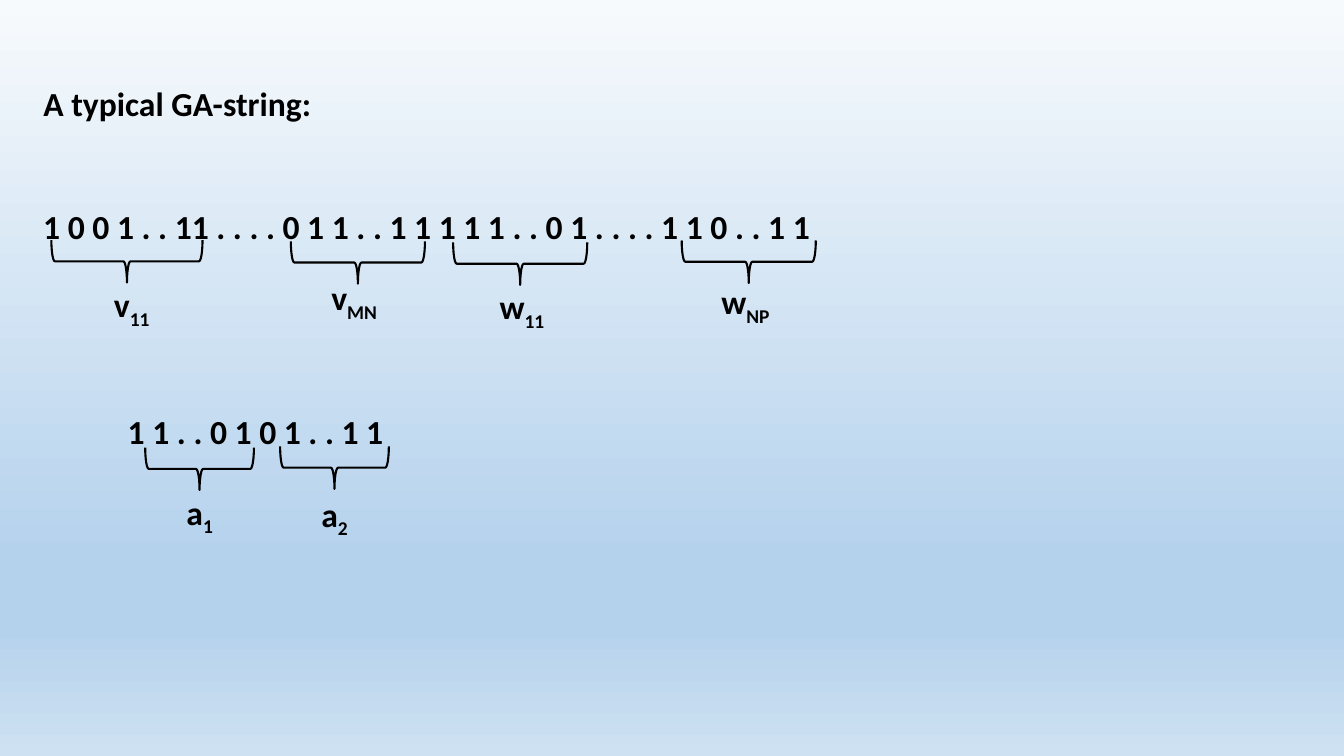
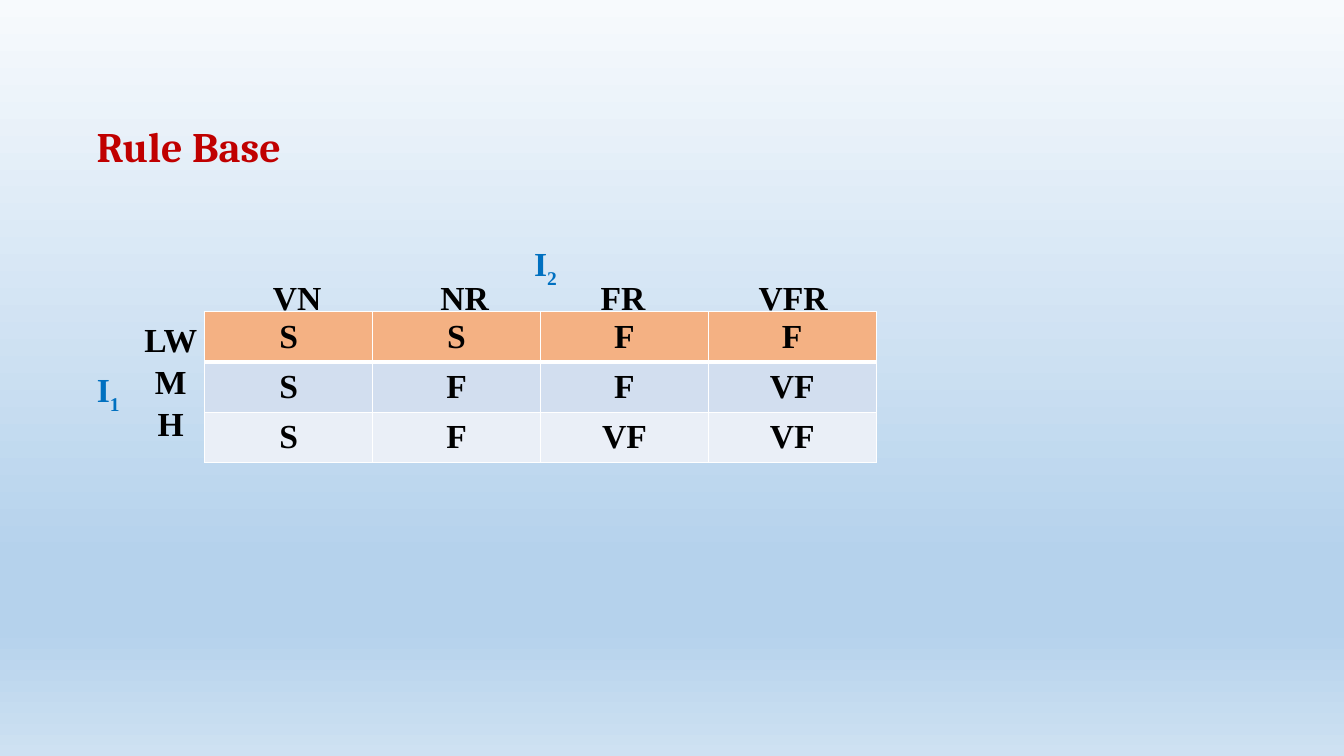
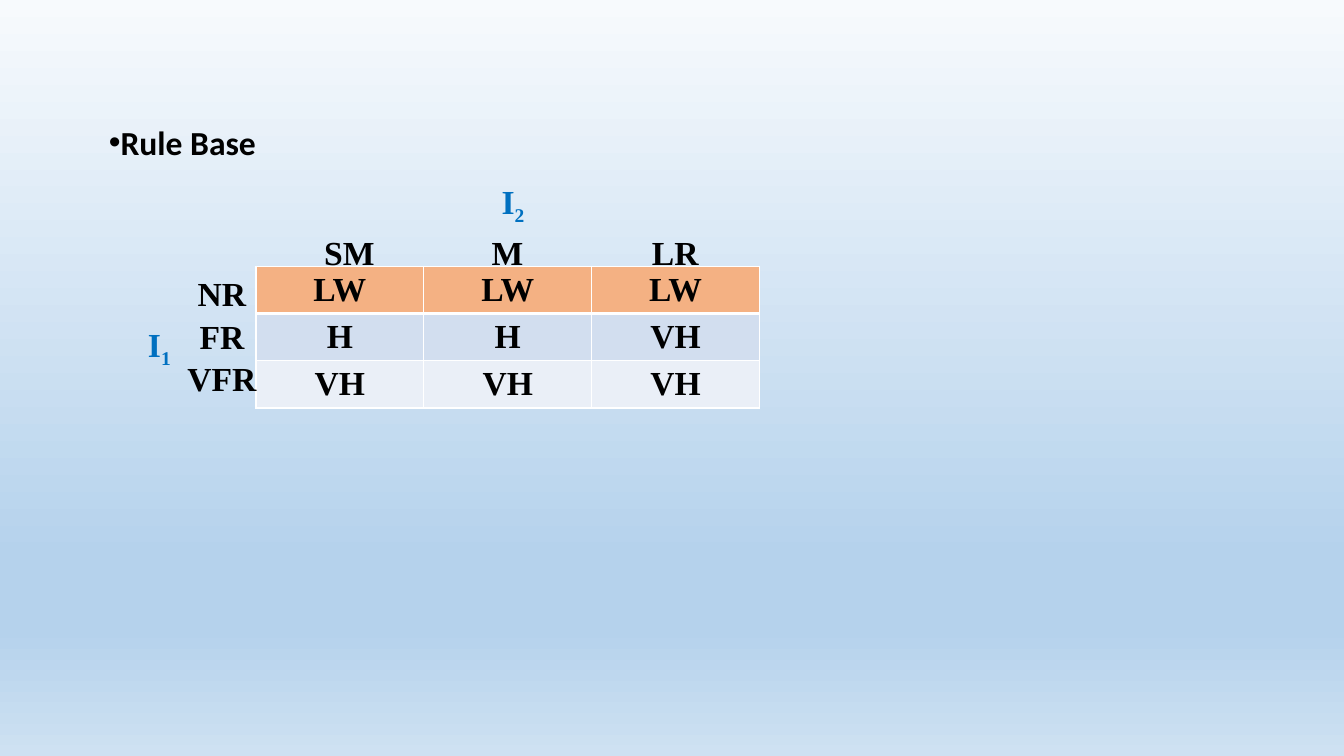
from dataclasses import dataclass

from lxml import etree
from pptx import Presentation
from pptx.dml.color import RGBColor
from pptx.enum.shapes import MSO_SHAPE
from pptx.enum.text import MSO_ANCHOR, MSO_AUTO_SIZE, PP_ALIGN
from pptx.oxml.ns import qn
from pptx.presentation import Presentation as Deck
from pptx.slide import Slide
from pptx.table import _Cell as Cell
from pptx.text.text import TextFrame
from pptx.util import Cm, Pt

BRACE = MSO_SHAPE.LEFT_BRACE
TOP, MIDDLE = MSO_ANCHOR.TOP, MSO_ANCHOR.MIDDLE
LEFT, CENTER = PP_ALIGN.LEFT, PP_ALIGN.CENTER
FIXED = MSO_AUTO_SIZE.NONE
TITLE_ONLY = 5


# Theme
@dataclass(frozen=True)
class Theme:
    black: str = "000000"
    red: str = "C00000"
    blue: str = "0070C0"
    white: str = "FFFFFF"
    bands: tuple = ("F4B183", "D2DEEF", "EAEFF7")
    sky: tuple = ((0, "F7FAFD"), (74, "B5D2EC"), (83, "B5D2EC"), (100, "CEE1F2"))
    sans: str = "Calibri"
    serif: str = "Cambria"
    roman: str = "Times New Roman"
    body: int = 24
    large: int = 30
    loose: float = 1.05


THEME = Theme()


@dataclass(frozen=True)
class Style:
    font: str
    size: int = THEME.body
    color: str = THEME.black
    align: int = LEFT
    gap: float = 1.0


PLAIN = Style(THEME.sans)
HEAD = Style(THEME.serif, THEME.large, THEME.red)
CELL = Style(THEME.roman, align=CENTER)
ROWS = Style(THEME.roman, align=CENTER, gap=THEME.loose)
COLS = Style(THEME.roman, gap=THEME.loose)
AXIS = Style(THEME.roman, color=THEME.blue, gap=THEME.loose)


# Records, all lengths in centimetres
@dataclass(frozen=True)
class Box:
    left: float
    top: float
    width: float
    height: float = 1.3

    def emu(self) -> tuple:
        return Cm(self.left), Cm(self.top), Cm(self.width), Cm(self.height)


@dataclass(frozen=True)
class Gene:
    name: str
    sub: str
    mid: float
    top: float
    span: float
    left: float
    base: float


@dataclass(frozen=True)
class Grid:
    left: float
    top: float
    high: float
    axis: tuple
    cols: tuple
    rows: tuple
    cells: tuple


GENES = (
    Gene("v", "11", 3.2, 6.05, 3.81, 2.62, 7.04),
    Gene("v", "MN", 9.02, 6.08, 3.38, 8.1, 6.86),
    Gene("w", "11", 13.11, 6.11, 3.38, 12.34, 7.09),
    Gene("w", "NP", 18.87, 6.06, 3.38, 17.93, 6.96),
    Gene("a", "1", 5.03, 11.28, 2.74, 4.45, 12.27),
    Gene("a", "2", 8.43, 11.25, 2.74, 7.85, 12.32),
)
BITS = (
    ("1 0 0 1 . . 11 . . . . 0 1 1 . . 1 1 1 1 1 . . 0 1 . . . . 1 1 0 . . 1 1",
     Box(0.84, 5.06, 22)),
    ("1 1 . . 0 1 0 1 . . 1 1", Box(2.97, 10.23, 10)),
)
SPEED = Grid(5.16, 7.85, 1.27, (8.05, -1.9),
             ("VN", "NR", "FR", "VFR"), ("LW", "M", "H"),
             (("S", "S", "F", "F"), ("S", "F", "F", "VF"), ("S", "F", "VF", "VF")))
TURN = Grid(6.45, 6.71, 1.19, (5.94, -2.34),
            ("SM", "M", "LR"), ("NR", "FR", "VFR"),
            (("LW", "LW", "LW"), ("H", "H", "VH"), ("VH", "VH", "VH")))
TABS = (4.22, 8.26, 12.24)
COL = 4.23
DEPTH = 1.07


# Text
def paint(frame: TextFrame, style: Style) -> None:
    for para in frame.paragraphs:
        para.alignment = style.align
        if style.gap != 1:
            para.line_spacing = style.gap
        for run in para.runs:
            font = run.font
            font.name, font.size, font.bold = style.font, Pt(style.size), True
            font.color.rgb = RGBColor.from_string(style.color)


def label(slide: Slide, text: str, box: Box, style: Style, sub: str = "",
          tabs: tuple = ()) -> None:
    frame = slide.shapes.add_textbox(*box.emu()).text_frame
    frame.word_wrap = True
    frame.text = text
    para = frame.paragraphs[0]
    if tabs:
        stops = etree.SubElement(para._p.get_or_add_pPr(), qn("a:tabLst"))
        for tab in tabs:
            etree.SubElement(stops, qn("a:tab"), pos=str(Cm(tab)), algn="l")
    if sub:
        run = para.add_run()
        run.text = sub
        run._r.get_or_add_rPr().set("baseline", "-25000")
    paint(frame, style)


def page(deck: Deck, text: str, box: Box, style: Style, bullet: str = "") -> Slide:
    slide = deck.slides.add_slide(deck.slide_layouts[TITLE_ONLY])
    title = slide.shapes.title
    title.left, title.top, title.width, title.height = box.emu()
    frame = title.text_frame
    frame.text = text
    frame.word_wrap, frame.auto_size, frame.vertical_anchor = True, FIXED, TOP
    if bullet:
        props = frame.paragraphs[0]._p.get_or_add_pPr()
        props.set("marL", "0")
        props.set("indent", "0")
        etree.SubElement(props, qn("a:buFont"), typeface="Arial")
        etree.SubElement(props, qn("a:buChar"), char=bullet)
    paint(frame, style)
    return slide


# Shared background
def sky(deck: Deck) -> None:
    master = deck.slide_master
    fill = master.background.fill
    fill.gradient()
    fill.gradient_angle = 270
    stops = master.element.find(".//" + qn("a:gsLst"))
    for stop in list(stops):
        stops.remove(stop)
    for place, color in THEME.sky:
        stop = etree.SubElement(stops, qn("a:gs"), pos=str(place * 1000))
        etree.SubElement(stop, qn("a:srgbClr"), val=color)


# Brace with its label
def gene(slide: Slide, item: Gene) -> None:
    box = Box(item.mid - DEPTH / 2, item.top + (DEPTH - item.span) / 2, DEPTH, item.span)
    brace = slide.shapes.add_shape(BRACE, *box.emu())
    brace.rotation = 270
    brace.shadow.inherit = False
    brace.fill.background()
    brace.line.color.rgb = RGBColor.from_string(THEME.black)
    brace.line.width = Pt(1.5)
    label(slide, item.name, Box(item.left, item.base, 1.9), PLAIN, item.sub)


# Rule table with its headings
def edge(cell: Cell, row: int) -> None:
    props = cell._tc.get_or_add_tcPr()
    widths = {"L": 1, "R": 1, "T": 3 if row == 1 else 1, "B": 3 if row == 0 else 1}
    for side, width in widths.items():
        line = etree.SubElement(props, qn("a:ln" + side), w=str(Pt(width)))
        solid = etree.SubElement(line, qn("a:solidFill"))
        etree.SubElement(solid, qn("a:srgbClr"), val=THEME.white)


def rules(slide: Slide, grid: Grid) -> None:
    down, across = len(grid.rows), len(grid.cols)
    box = Box(grid.left, grid.top, COL * across, grid.high * down)
    table = slide.shapes.add_table(down, across, *box.emu()).table
    table.first_row = table.horz_banding = False
    for col in table.columns:
        col.width = Cm(COL)
    for r, texts in enumerate(grid.cells):
        table.rows[r].height = Cm(grid.high)
        for c, text in enumerate(texts):
            cell = table.cell(r, c)
            cell.text = text
            cell.margin_top = cell.margin_bottom = Cm(0.08)
            cell.vertical_anchor = MIDDLE
            edge(cell, r)
            cell.fill.solid()
            cell.fill.fore_color.rgb = RGBColor.from_string(THEME.bands[r])
            paint(cell.text_frame, CELL)
    left, top = grid.left, grid.top
    label(slide, "\n".join(grid.rows), Box(left - 2.34, top, 2.97, 3.33), ROWS)
    label(slide, "\t".join(grid.cols), Box(left + 1.47, top - 1.05, 15), COLS,
          tabs=TABS[:across - 1])
    right, rise = grid.axis
    label(slide, "I", Box(left + right, top + rise, 1.47), AXIS, "2")
    label(slide, "I", Box(left - 2.97, top + 1.27, 1.47), AXIS, "1")


def main() -> None:
    deck = Presentation()
    deck.slide_width, deck.slide_height = Cm(33.87), Cm(19.05)
    sky(deck)

    # GA string
    slide = page(deck, "A typical GA-string:", Box(0.84, 1.96, 20.17), PLAIN)
    for text, box in BITS:
        label(slide, text, box, PLAIN)
    for item in GENES:
        gene(slide, item)

    # Rule bases
    rules(page(deck, "Rule Base", Box(2.18, 2.92, 8, 1.55), HEAD), SPEED)
    rules(page(deck, "Rule Base", Box(2.49, 2.95, 6), PLAIN, "•"), TURN)

    deck.save("out.pptx")


if __name__ == "__main__":
    main()
